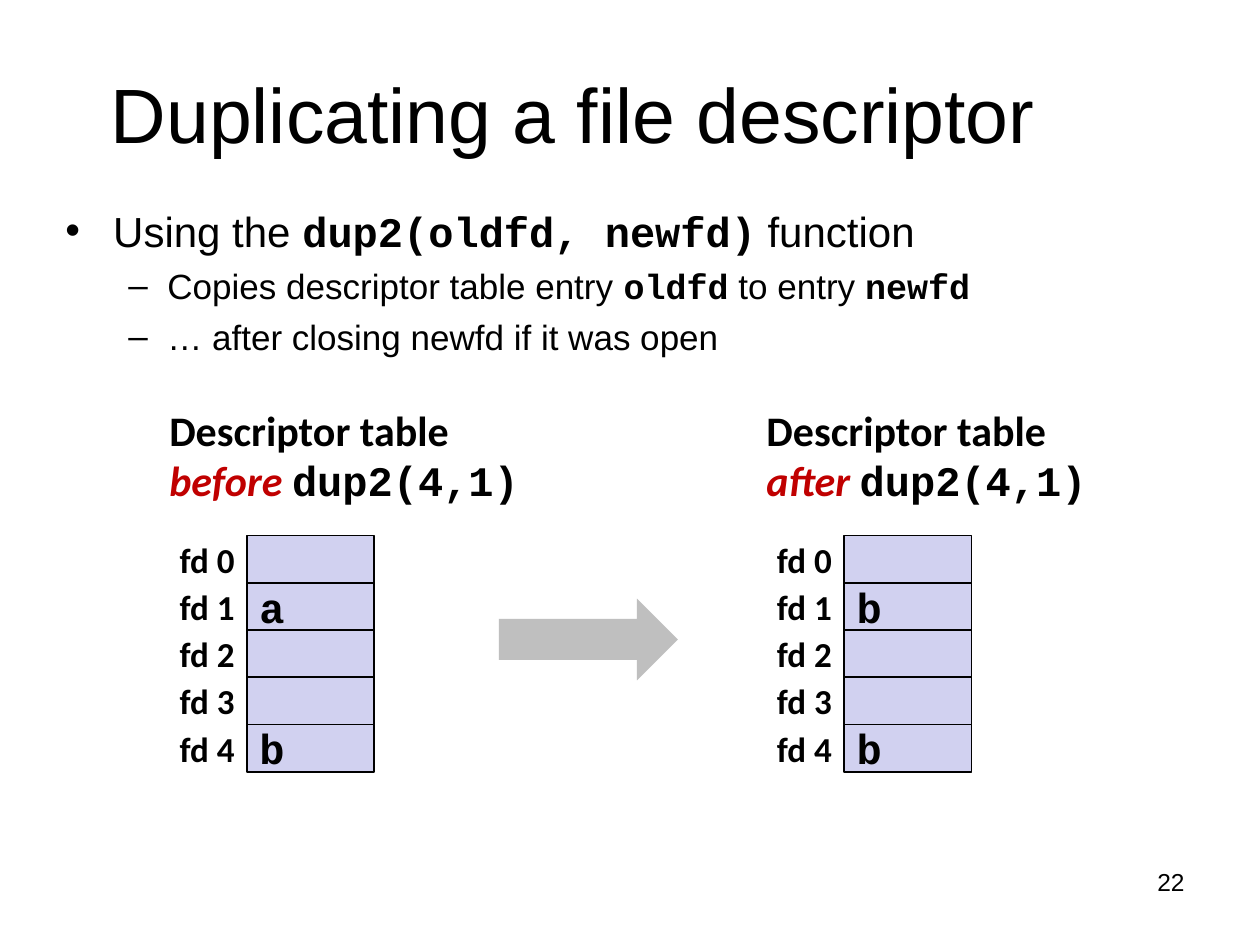
from dataclasses import dataclass
from typing import NamedTuple

from lxml import etree
from pptx import Presentation
from pptx import util as u
from pptx.dml.color import RGBColor
from pptx.enum import shapes, text
from pptx.oxml import ns

SLIDE_WIDTH, SLIDE_HEIGHT = 10, 7.5
COLUMNS, ROWS = 100, 60


@dataclass(frozen=True)
class Theme:
    ink: str = "000000"
    accent: str = "C00000"
    cell: str = "D1D1F0"
    arrow: str = "BFBFBF"
    sans: str = "Arial"
    label: str = "Calibri"
    code: str = "Courier New"
    title_size: int = 44
    large: int = 24
    medium: int = 20
    small: int = 14


class Area(NamedTuple):
    """A place on the slide, in columns and rows of the grid."""
    column: float
    row: float
    columns: float
    rows: float

    def lengths(self) -> tuple:
        across, down = SLIDE_WIDTH / COLUMNS, SLIDE_HEIGHT / ROWS
        return (u.Inches(self.column * across), u.Inches(self.row * down),
                u.Inches(self.columns * across), u.Inches(self.rows * down))


class Bullet(NamedTuple):
    sign: str
    level: int
    indent: float
    hang: float
    size: int
    before: int
    spans: list


class DescriptorTable(NamedTuple):
    column: float
    moment: str
    heading_columns: float
    entries: list


THEME = Theme()
CELL_COLUMNS, CELL_ROWS = 10.1, 3
TABLE_ROW = 34
MAIN = Bullet("•", 0, 0.38, 0.38, THEME.large, 0, [
    ("Using the ", False), ("dup2(oldfd, newfd)", True), (" function", False)])
SUB = Bullet("–", 1, 0.81, 0.31, THEME.medium, 5, [
    ("Copies descriptor table entry ", False), ("oldfd", True),
    (" to entry ", False), ("newfd", True)])
BULLETS = [MAIN, SUB, SUB._replace(
    spans=[("… after closing newfd if it was open", False)])]
TABLES = [
    DescriptorTable(19.6, "before ", 29.8, ["", "a", "", "", "b"]),
    DescriptorTable(67, "after ", 27.4, ["", "b", "", "", "b"]),
]


def write(para, words: str, *, size: int, font: str = THEME.sans,
          color: str = THEME.ink, bold: bool = False, italic: bool = False,
          align=text.PP_ALIGN.LEFT) -> None:
    para.alignment = align
    span = para.add_run()
    span.text = words
    span.font.size = u.Pt(size)
    span.font.name = font
    span.font.bold = bold
    span.font.italic = italic
    span.font.color.rgb = RGBColor.from_string(color)


def set_frame(box, wrap: bool = False, anchor=text.MSO_ANCHOR.MIDDLE):
    frame = box.text_frame
    frame.word_wrap = wrap
    frame.vertical_anchor = anchor
    return frame


def add_block(parent, kind, area: Area, fill: str, line: str = ""):
    block = parent.add_shape(kind, *area.lengths())
    block.shadow.inherit = False
    block.fill.solid()
    block.fill.fore_color.rgb = RGBColor.from_string(fill)
    if line:
        block.line.color.rgb = RGBColor.from_string(line)
        block.line.width = u.Pt(1)
    else:
        block.line.fill.background()
    return block


def add_bullet(para, bullet: Bullet) -> None:
    para.level = bullet.level
    para.space_before = u.Pt(bullet.before)
    props = para._p.get_or_add_pPr()
    props.set("marL", str(u.Inches(bullet.indent)))
    props.set("indent", str(-u.Inches(bullet.hang)))
    etree.SubElement(props, ns.qn("a:buFont")).set("typeface", THEME.sans)
    etree.SubElement(props, ns.qn("a:buChar")).set("char", bullet.sign)
    for words, is_code in bullet.spans:
        write(para, words, size=bullet.size, bold=is_code,
              font=THEME.code if is_code else THEME.sans)


def add_table_drawing(page, table: DescriptorTable) -> None:
    # Cells with their descriptor labels
    group = page.shapes.add_group_shape().shapes
    for index, entry in enumerate(table.entries):
        area = Area(table.column, TABLE_ROW + index * CELL_ROWS,
                    CELL_COLUMNS, CELL_ROWS)
        cell = add_block(group, shapes.MSO_SHAPE.RECTANGLE, area,
                         THEME.cell, THEME.ink)
        if entry:
            write(set_frame(cell).paragraphs[0], entry, size=THEME.large,
                  font=THEME.code, bold=True)
        label_area = area._replace(column=area.column - CELL_COLUMNS)
        label = group.add_textbox(*label_area.lengths())
        write(set_frame(label).paragraphs[0], f"fd {index}", bold=True,
              size=THEME.medium, font=THEME.label, align=text.PP_ALIGN.RIGHT)

    # Heading
    heading = page.shapes.add_textbox(*Area(
        table.column - 7.15, 25.28, table.heading_columns, 7.2).lengths())
    frame = set_frame(heading)
    write(frame.paragraphs[0], "Descriptor table", size=THEME.large,
          font=THEME.label, bold=True)
    second = frame.add_paragraph()
    write(second, table.moment, size=THEME.large, font=THEME.label,
          color=THEME.accent, bold=True, italic=True)
    write(second, "dup2(4,1)", size=THEME.large, font=THEME.code, bold=True)


def main() -> None:
    deck = Presentation()
    deck.slide_width = u.Inches(SLIDE_WIDTH)
    deck.slide_height = u.Inches(SLIDE_HEIGHT)
    page = deck.slides.add_slide(deck.slide_layouts[5])

    # Title
    title = page.shapes.title
    title.left, title.top, title.width, title.height = Area(
        4, 3.84, 83, 6.64).lengths()
    write(set_frame(title, wrap=True).paragraphs[0],
          "Duplicating a file descriptor", size=THEME.title_size,
          align=text.PP_ALIGN.CENTER)

    # Bullets
    body = page.shapes.add_textbox(*Area(4.2, 12.64, 90.8, 16.64).lengths())
    frame = set_frame(body, wrap=True, anchor=text.MSO_ANCHOR.TOP)
    for index, bullet in enumerate(BULLETS):
        para = frame.add_paragraph() if index else frame.paragraphs[0]
        add_bullet(para, bullet)

    # Tables before and after, with the arrow between them
    for table in TABLES:
        add_table_drawing(page, table)
    add_block(page.shapes, shapes.MSO_SHAPE.RIGHT_ARROW,
              Area(39.6, 38, 14.2, 5.2), THEME.arrow)

    # Page number
    number = page.shapes.add_textbox(*Area(71.7, 54.64, 23.3, 4.16).lengths())
    write(set_frame(number, wrap=True, anchor=text.MSO_ANCHOR.TOP).paragraphs[0],
          "22", size=THEME.small, align=text.PP_ALIGN.RIGHT)

    deck.save("out.pptx")


if __name__ == "__main__":
    main()
